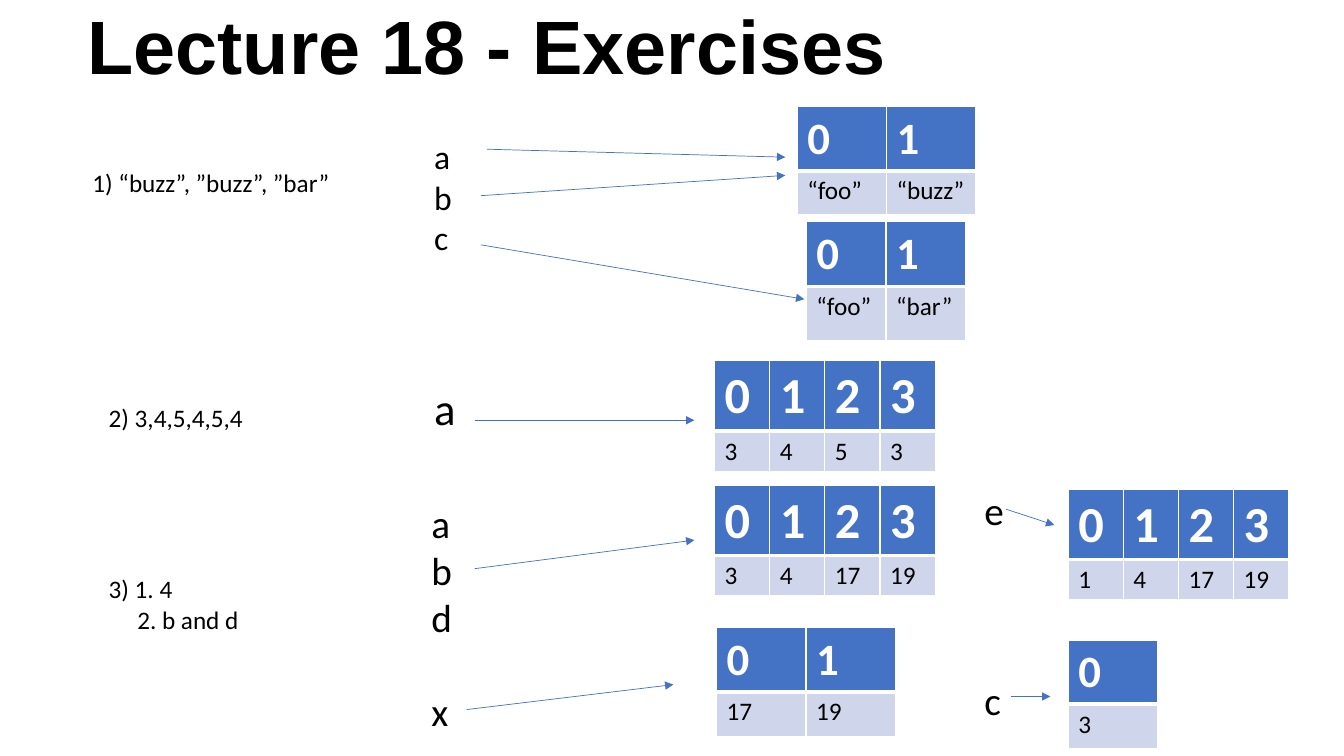
"""Build the Lecture 18 exercise slide with its variable and list diagrams."""
from lxml.etree import SubElement
from pptx import Presentation
from pptx.dml.color import RGBColor
from pptx.enum.shapes import MSO_CONNECTOR
from pptx.enum.text import MSO_ANCHOR, PP_ALIGN
from pptx.oxml.ns import qn
from pptx.util import Cm, Pt

BLACK = RGBColor(0x00, 0x00, 0x00)
WHITE = RGBColor(0xFF, 0xFF, 0xFF)
BLUE = RGBColor(0x44, 0x72, 0xC4)
PALE_BLUE = RGBColor(0xCF, 0xD5, 0xEA)


class ExerciseSlide:
    def __init__(self, presentation):
        self.slide = presentation.slides.add_slide(presentation.slide_layouts[5])
        self.body_font = "Calibri"
        self.body_size = 18

    def add_run(self, paragraph, text, size, color=BLACK, bold=False, font=None):
        run = paragraph.add_run()
        run.text = text
        run.font.name = font or self.body_font
        run.font.size = Pt(size)
        run.font.bold = bold
        run.font.color.rgb = color

    def add_title(self, text, left, top, width, height):
        title = self.slide.shapes.title
        title.left, title.top = Cm(left), Cm(top)
        title.width, title.height = Cm(width), Cm(height)
        title.text_frame.vertical_anchor = MSO_ANCHOR.TOP
        paragraph = title.text_frame.paragraphs[0]
        paragraph.alignment = PP_ALIGN.CENTER
        paragraph.line_spacing = 0.9
        self.add_run(paragraph, text, 54, bold=True, font="Arial")

    def add_text(self, lines, left, top, width, height, size=18, last_gap=0, last_indent=0):
        box = self.slide.shapes.add_textbox(Cm(left), Cm(top), Cm(width), Cm(height))
        frame = box.text_frame
        frame.word_wrap = True
        for index, line in enumerate(lines):
            paragraph = frame.add_paragraph() if index else frame.paragraphs[0]
            self.add_run(paragraph, line, size)
        paragraph.space_before = Pt(last_gap)
        paragraph._p.get_or_add_pPr().set("marL", str(Cm(last_indent)))

    def add_list(self, values, left, top, column_width, row_heights, index_size):
        table = self.slide.shapes.add_table(
            2, len(values), Cm(left), Cm(top),
            Cm(column_width * len(values)), Cm(sum(row_heights))).table
        for row, height in zip(table.rows, row_heights):
            row.height = Cm(height)
        for index, value in enumerate(values):
            table.columns[index].width = Cm(column_width)
            self.fill_cell(table.cell(0, index), str(index), index_size, WHITE, BLUE, True, 1, 3)
            self.fill_cell(table.cell(1, index), value, self.body_size, BLACK, PALE_BLUE, False, 3, 1)

    def fill_cell(self, cell, text, size, color, fill, bold, top_border, bottom_border):
        self.add_run(cell.text_frame.paragraphs[0], text, size, color, bold)
        properties = cell._tc.get_or_add_tcPr()
        borders = {"a:lnL": 1, "a:lnR": 1, "a:lnT": top_border, "a:lnB": bottom_border}
        for tag, width in borders.items():
            line = SubElement(properties, qn(tag), w=str(Pt(width)))
            solid = SubElement(line, qn("a:solidFill"))
            SubElement(solid, qn("a:srgbClr"), val=str(WHITE))
        cell.fill.solid()
        cell.fill.fore_color.rgb = fill

    def add_arrow(self, start_x, start_y, end_x, end_y):
        arrow = self.slide.shapes.add_connector(
            MSO_CONNECTOR.STRAIGHT, Cm(start_x), Cm(start_y), Cm(end_x), Cm(end_y))
        arrow.line.color.rgb = BLUE
        arrow.line.width = Pt(0.5)
        SubElement(arrow.line._get_or_add_ln(), qn("a:tailEnd"), type="triangle")
        SubElement(arrow._element.spPr, qn("a:effectLst"))


presentation = Presentation()
presentation.slide_width, presentation.slide_height = Cm(33.87), Cm(19.05)
exercises = ExerciseSlide(presentation)
exercises.add_title("Lecture 18 - Exercises", 0.84, 0.1, 22.86, 2.3)

exercises.add_text(["1) “buzz”, ”buzz”, ”bar”"], 2.08, 4.09, 9.88, 1.02)
exercises.add_text(["2) 3,4,5,4,5,4"], 2.49, 10.01, 9.88, 1.02)
exercises.add_text(["3) 1. 4", "2. b and d"], 2.49, 14.33, 9.88, 1.8, last_indent=0.72)

exercises.add_text(["a", "b", "c"], 10.69, 3.31, 4.01, 3.3, size=24)
exercises.add_text(["a"], 10.69, 9.47, 1.07, 1.63, size=32)
exercises.add_text(["a", "b", "d", "x"], 10.62, 12.45, 5.72, 6.25, size=28, last_gap=34)
exercises.add_text(["e", "c"], 24.56, 12.12, 5.72, 6.25, size=28, last_gap=102.5)

WIDE = (2.25, (1.6, 1.12), 32)
MEDIUM = (2.01, (1.63, 1.37), 32)
NARROW = (1.39, (1.77, 1.02), 36)
for values, left, top, style in [
    (["“foo”", "“buzz”"], 20.09, 2.69, WIDE),
    (["“foo”", "“bar”"], 20.32, 5.59, MEDIUM),
    (["3", "4", "5", "3"], 18.01, 9.09, NARROW),
    (["3", "4", "17", "19"], 18.01, 12.22, NARROW),
    (["1", "4", "17", "19"], 26.92, 12.32, NARROW),
    (["17", "19"], 18.06, 15.82, WIDE),
    (["3"], 26.92, 16.13, WIDE),
]:
    exercises.add_list(values, left, top, *style)

for ends in [
    (12.27, 3.76, 19.79, 3.96),
    (12.12, 4.93, 19.79, 4.42),
    (12.12, 6.17, 20.27, 7.54),
    (11.96, 10.59, 17.5, 10.59),
    (11.96, 14.33, 17.5, 13.61),
    (11.76, 17.88, 16.97, 17.25),
    (25.35, 12.83, 26.57, 13.23),
    (25.48, 17.55, 26.47, 17.55),
]:
    exercises.add_arrow(*ends)

presentation.save("out.pptx")
